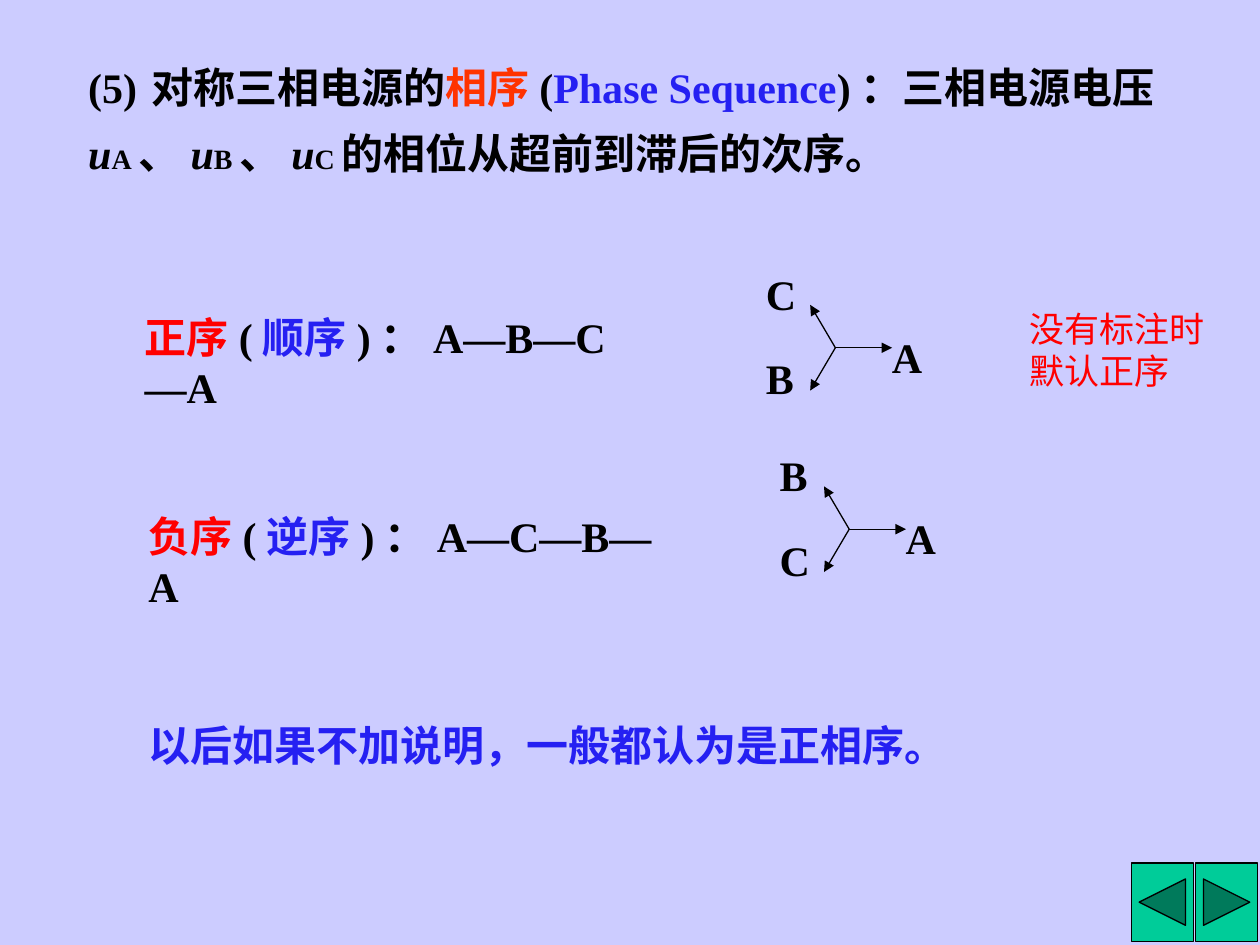
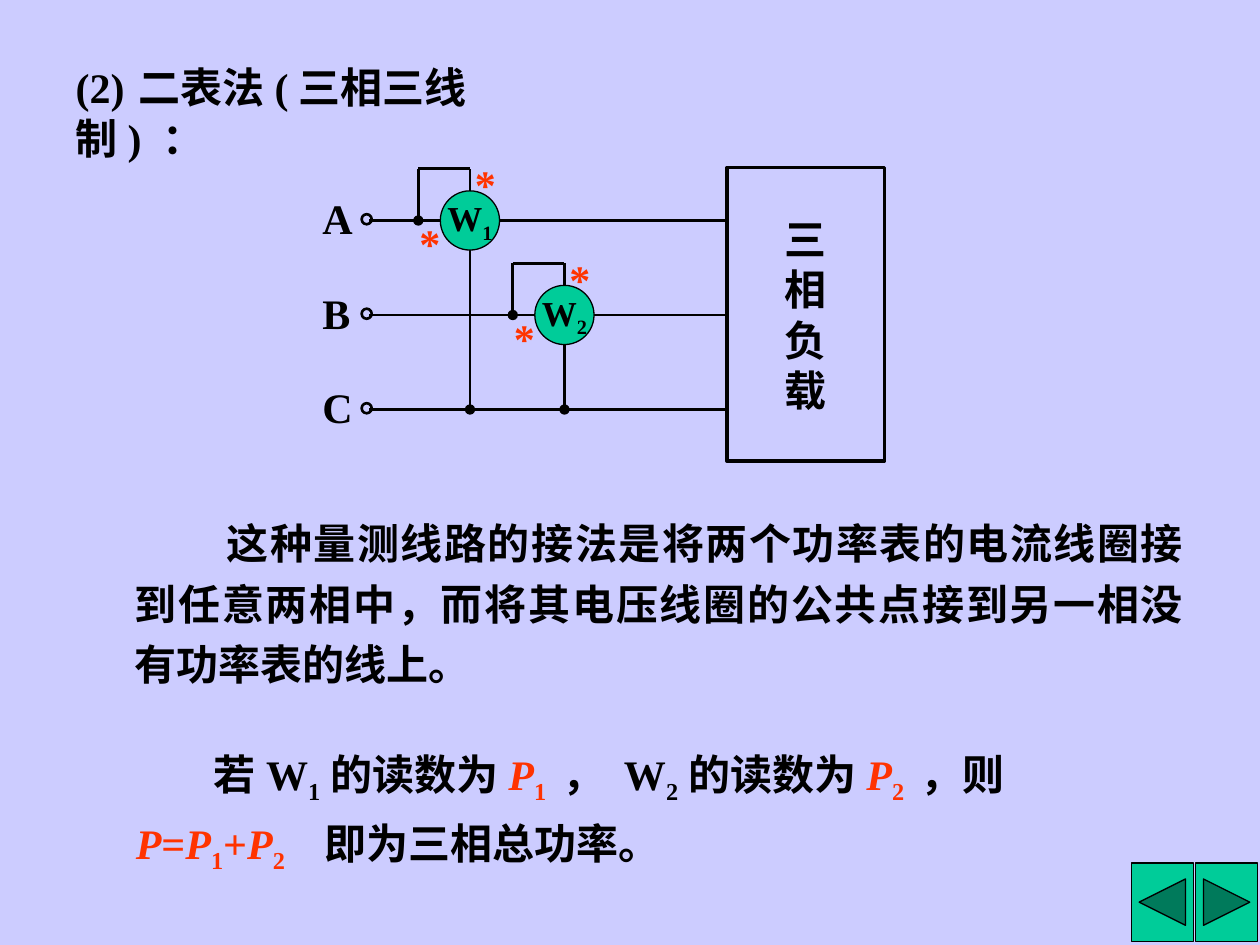
"""Build two slides on phase sequence and the two-wattmeter method."""
from lxml.etree import SubElement
from pptx import Presentation
from pptx.dml.color import RGBColor
from pptx.enum.lang import MSO_LANGUAGE_ID as Language
from pptx.enum.shapes import MSO_CONNECTOR as Connector, MSO_SHAPE as Shape
from pptx.enum.text import MSO_ANCHOR as Anchor, MSO_AUTO_SIZE as AutoSize, PP_ALIGN as Align
from pptx.oxml.ns import qn
from pptx.util import Inches, Pt

COLORS = {"background": "CCCCFF", "black": "000000", "red": "FF0000",
          "orange": "FF3300", "blue": "2520F2", "green": "00CC99"}
FONT = "Times New Roman"

NAVIGATION = [(8.98, Shape.ACTION_BUTTON_BACK_OR_PREVIOUS),
              (9.49, Shape.ACTION_BUTTON_FORWARD_OR_NEXT)]

SEQUENCE_TITLE = [
    ("(5)\t对称三相电源的", ""), ("相序", "orange"), ("(", ""),
    ("Phase Sequence", "blue"), (")：三相电源电压", ""),
    ("u", "italic"), ("A", "small"), ("、", ""),
    ("u", "italic"), ("B", "small"), ("、", ""),
    ("u", "italic"), ("C", "small"), ("的相位从超前到滞后的次序。", "")]
SEQUENCES = [
    ((1.05, 2.42, 4.05, 0.5),
     [("正序", "red"), ("(", ""), ("顺序", "blue"), (")：A—B—C—A", "")]),
    ((1.08, 4, 4.32, 0.5),
     [("负序", "red"), ("(", ""), ("逆序", "blue"), (")：A—C—B—A", "")])]
PHASORS = [(6.63, 2.76, "ABC"), (6.74, 4.2, "ACB")]
PHASOR_TIPS = [(0.45, 0), (-0.2, 0.34), (-0.2, -0.34)]
PHASOR_LABELS = [(0.35, -0.18), (-0.65, -0.01), (-0.65, -0.68)]
DEFAULT_NOTE = [[("没有标注时", "red plain")], [("默认正序", "red plain")]]
CONCLUSION = [("以后如果不加说明，一般都认为是正相序。", "blue")]

METHOD_TITLE = [("(2)\t二表法(三相三线制) ：", "")]
WIRES = {"A": 1.75, "B": 2.5, "C": 3.25}
METERS = [("1", 3.73, WIRES["A"]), ("2", 4.48, WIRES["B"])]
STAR_OFFSETS = [(-0.06, -0.54), (-0.5, -0.07)]
WIRE_START, LOAD_LEFT = 2.93, 5.77
LOOP, METER_SIZE, TERMINAL_SIZE = 0.41, 0.47, 0.08
METHOD = [("这种量测线路的接法是将两个功率表的电流线圈接到任意两相中，"
           "而将其电压线圈的公共点接到另一相没有功率表的线上。", "")]
READINGS = [
    ("若W", ""), ("1", "sub"), ("的读数为", ""),
    ("P", "orange italic"), ("1 ", "orange sub"),
    ("， W", ""), ("2", "sub"), ("的读数为", ""),
    ("P", "orange italic"), ("2 ", "orange sub"), ("，则 ", ""),
    ("P", "orange italic"), ("=", "orange"),
    ("P", "orange italic"), ("1", "orange sub"), ("+", "orange"),
    ("P", "orange italic"), ("2", "orange sub"), ("\t即为三相总功率。", "")]


def color(name):
    return RGBColor.from_string(COLORS[name])


def add_runs(paragraph, parts, size=24):
    for text, style in parts:
        words = style.split()
        run = paragraph.add_run()
        run.text = text
        font = run.font
        font.name = FONT
        font.language_id = Language.SIMPLIFIED_CHINESE
        font.size = Pt(16 if "small" in words else size)
        font.bold = "plain" not in words
        font.italic = "italic" in words
        font.color.rgb = color(next((word for word in words if word in COLORS), "black"))
        if "sub" in words:
            run._r.get_or_add_rPr().set("baseline", "-25000")


def write(shape, paragraphs, size=24, align=Align.LEFT, spacing=1.0,
          indent=0, tab=None, wrap=True, anchor=Anchor.TOP):
    frame = shape.text_frame
    frame.word_wrap = wrap
    frame.auto_size = AutoSize.NONE
    frame.vertical_anchor = anchor
    for index, parts in enumerate(paragraphs):
        paragraph = frame.paragraphs[0] if index == 0 else frame.add_paragraph()
        paragraph.alignment = align
        paragraph.line_spacing = spacing
        properties = paragraph._p.get_or_add_pPr()
        properties.set("indent", str(Inches(indent)))
        if tab:
            stops = SubElement(properties, qn("a:tabLst"))
            SubElement(stops, qn("a:tab"), pos=str(Inches(tab)), algn="l")
        add_runs(paragraph, parts, size)


def add_text(slide, box, paragraphs, **options):
    write(slide.shapes.add_textbox(*map(Inches, box)), paragraphs, **options)


def add_label(slide, left, top, text, style=""):
    add_text(slide, (left, top, 0.44, 0.5), [[(text, style)]], wrap=False)


def add_outlined(slide, kind, box, fill=None, width=0.75):
    shape = slide.shapes.add_shape(kind, *map(Inches, box))
    shape.shadow.inherit = False
    if fill:
        shape.fill.solid()
        shape.fill.fore_color.rgb = color(fill)
    else:
        shape.fill.background()
    shape.line.color.rgb = color("black")
    shape.line.width = Pt(width)
    return shape


def add_circle(slide, x, y, size, **options):
    return add_outlined(slide, Shape.OVAL, (x - size / 2, y - size / 2, size, size), **options)


def add_line(slide, start, end, width=1.5, tail=None):
    line = slide.shapes.add_connector(Connector.STRAIGHT, *map(Inches, (*start, *end)))
    line.line.color.rgb = color("black")
    line.line.width = Pt(width)
    if tail:
        SubElement(line.line._get_or_add_ln(), qn("a:tailEnd"), type=tail)
    SubElement(line._element.spPr, qn("a:effectLst"))


def add_slide(presentation, box, title, spacing=1.0):
    slide = presentation.slides.add_slide(presentation.slide_layouts[5])
    heading = slide.shapes.title
    heading.left, heading.top, heading.width, heading.height = map(Inches, box)
    write(heading, [title], spacing=spacing, tab=0.65)
    for left, kind in NAVIGATION:
        add_outlined(slide, kind, (left, 6.85, 0.49, 0.62), fill="green")
    return slide


def add_phasor(slide, x, y, names):
    for name, (tip_x, tip_y), (label_x, label_y) in zip(names, PHASOR_TIPS, PHASOR_LABELS):
        add_line(slide, (x, y), (x + tip_x, y + tip_y), width=0.75, tail="triangle")
        add_label(slide, x + label_x, y + label_y, name)


def add_meter(slide, number, x, y):
    left, top = x - LOOP, y - LOOP
    add_line(slide, (left, top), (left, y), tail="oval")
    add_line(slide, (left, top), (x, top))
    add_line(slide, (x, top), (x, WIRES["C"]), tail="oval")
    meter = add_circle(slide, x, y, METER_SIZE, fill="green")
    write(meter, [[("W", ""), (number, "sub")]], size=20, align=Align.CENTER,
          wrap=False, anchor=Anchor.MIDDLE)
    for star_x, star_y in STAR_OFFSETS:
        add_text(slide, (x + star_x, y + star_y, 0.37, 0.5), [[("*", "orange")]], wrap=False)


def build_sequence_slide(presentation):
    slide = add_slide(presentation, (0.6, 0.32, 8.95, 1.14), SEQUENCE_TITLE, spacing=1.3)
    for box, parts in SEQUENCES:
        add_text(slide, box, [parts])
    for x, y, names in PHASORS:
        add_phasor(slide, x, y, names)
    add_text(slide, (8.07, 2.39, 1.93, 0.77), DEFAULT_NOTE, size=20)
    add_text(slide, (1.08, 5.58, 6.8, 0.58), [CONCLUSION], spacing=1.2)


def build_method_slide(presentation):
    slide = add_slide(presentation, (0.5, 0.44, 4.06, 0.5), METHOD_TITLE)
    load = add_outlined(slide, Shape.RECTANGLE, (LOAD_LEFT, 1.33, 1.25, 2.33), width=2.25)
    write(load, [[(letter, "")] for letter in "三相负载"], align=Align.CENTER,
          wrap=False, anchor=Anchor.MIDDLE)
    for name, y in WIRES.items():
        add_line(slide, (WIRE_START, y), (LOAD_LEFT, y))
        add_circle(slide, WIRE_START - 0.02, y - 0.01, TERMINAL_SIZE, width=1.5)
        add_label(slide, 2.46, y - 0.27, name)
    for meter in METERS:
        add_meter(slide, *meter)
    add_text(slide, (0.97, 3.98, 8.52, 1.54), [METHOD], align=Align.JUSTIFY,
             spacing=1.2, indent=0.73)
    add_text(slide, (0.98, 5.8, 8.03, 1.06), [READINGS], spacing=1.2, indent=0.62, tab=1.42)


def main():
    presentation = Presentation()
    presentation.slide_width, presentation.slide_height = Inches(10), Inches(7.5)
    background = presentation.slide_master.background.fill
    background.solid()
    background.fore_color.rgb = color("background")
    build_sequence_slide(presentation)
    build_method_slide(presentation)
    presentation.save("out.pptx")


if __name__ == "__main__":
    main()
